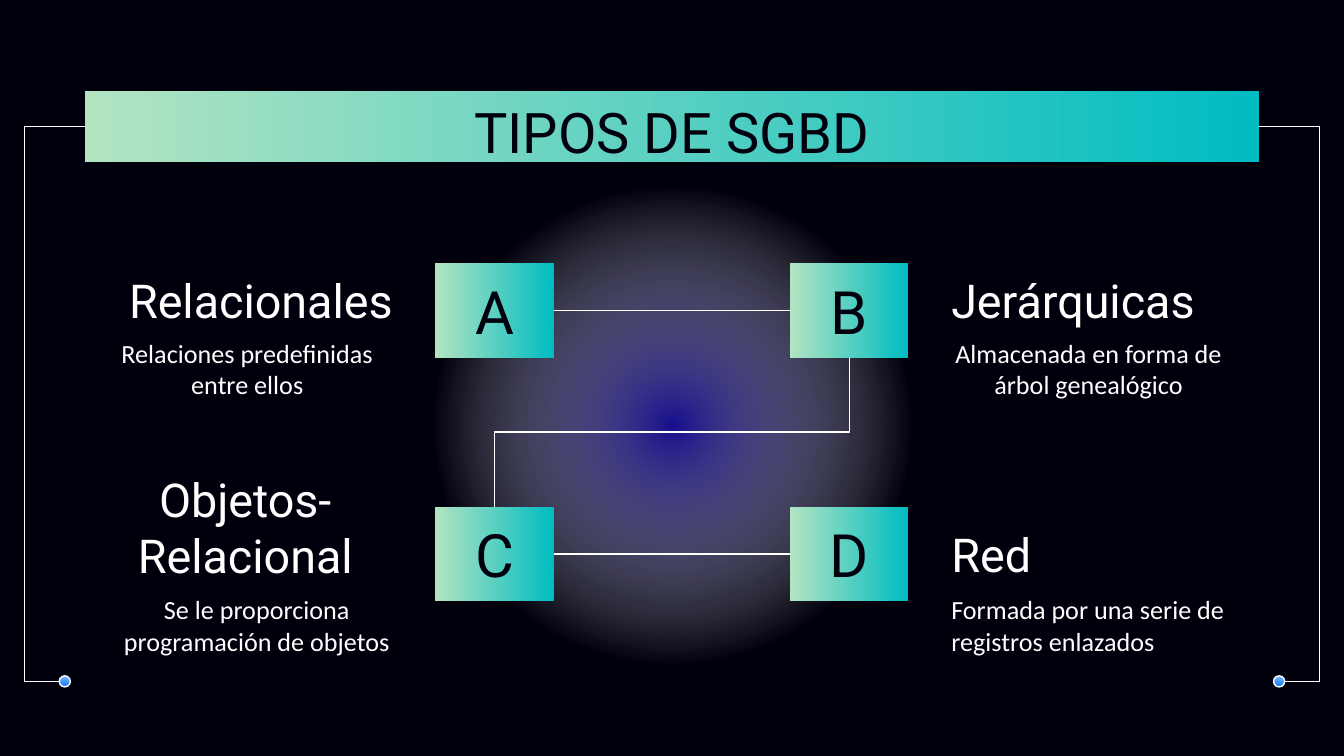
from dataclasses import dataclass

from lxml.etree import SubElement
from pptx import Presentation
from pptx.dml.color import RGBColor
from pptx.enum.shapes import MSO_CONNECTOR, MSO_SHAPE
from pptx.enum.text import MSO_ANCHOR, PP_ALIGN
from pptx.oxml.ns import qn
from pptx.util import Cm, Pt


@dataclass(frozen=True)
class Theme:
    night: str = "00000D"
    white: str = "FFFFFF"
    glow: str = "170F8D"
    tile: tuple = ("00BCC2", "B2E4C2")
    dot: tuple = ("82BCFE", "0C77F1")
    display_font: str = "Roboto"
    body_font: str = "Calibri"
    title_size: int = 30
    letter_size: int = 32
    heading_size: int = 25
    body_size: int = 14
    line_width: float = 0.75


@dataclass(frozen=True)
class Box:
    """A region in centimetres."""
    x: float
    y: float
    w: float
    h: float

    @property
    def right(self):
        return self.x + self.w

    @property
    def bottom(self):
        return self.y + self.h

    @property
    def mid_x(self):
        return self.x + self.w / 2

    @property
    def mid_y(self):
        return self.y + self.h / 2

    def lengths(self):
        return Cm(self.x), Cm(self.y), Cm(self.w), Cm(self.h)


THEME = Theme()


# Shared parts
def add_plain_shape(slide, kind, box):
    shape = slide.shapes.add_shape(kind, *box.lengths())
    shape.shadow.inherit = False
    shape.line.fill.background()
    return shape


def fill_gradient(shape, colors, angle):
    shape.fill.gradient()
    shape.fill.gradient_angle = angle
    for stop, color in zip(shape.fill.gradient_stops, colors):
        stop.color.rgb = RGBColor.from_string(color)


def write(shape, text, font, size, color, align, anchor):
    frame = shape.text_frame
    frame.word_wrap = True
    frame.vertical_anchor = anchor
    frame.margin_left = frame.margin_right = Cm(0.25)
    frame.margin_top = frame.margin_bottom = Cm(0.25)
    frame.text = text
    paragraph = frame.paragraphs[0]
    paragraph.alignment = align
    run_font = paragraph.runs[0].font
    run_font.name, run_font.size = font, Pt(size)
    run_font.color.rgb = RGBColor.from_string(color)


def add_line(slide, kind, start, end):
    line = slide.shapes.add_connector(kind, *map(Cm, start + end))
    line.line.width = Pt(THEME.line_width)
    line.line.color.rgb = RGBColor.from_string(THEME.white)
    SubElement(line._element.spPr, qn("a:effectLst"))
    return line


# Regions
def add_glow(slide, box):
    glow = add_plain_shape(slide, MSO_SHAPE.OVAL, box)
    fill_gradient(glow, (THEME.glow, THEME.white), 0)
    gradient = glow._element.spPr.find(qn("a:gradFill"))
    gradient.remove(gradient.find(qn("a:lin")))
    stops = gradient.find(qn("a:gsLst"))
    stops.remove(stops[1])
    for position in (61000, 100000):
        stop = SubElement(stops, qn("a:gs"), pos=str(position))
        white = SubElement(stop, qn("a:srgbClr"), val=THEME.white)
        SubElement(white, qn("a:alpha"), val="0")
    circle = SubElement(gradient, qn("a:path"), path="circle")
    centre = dict.fromkeys(("l", "t", "r", "b"), "50000")
    SubElement(circle, qn("a:fillToRect"), **centre)


def add_title(slide, box):
    bar = add_plain_shape(slide, MSO_SHAPE.RECTANGLE, box)
    fill_gradient(bar, THEME.tile, 180)
    title_box = Box(box.x + 0.4, box.y - 0.13, box.w - 0.8, 1.6)
    title = slide.shapes.add_textbox(*title_box.lengths())
    write(title, "TIPOS DE SGBD", THEME.display_font, THEME.title_size,
          THEME.night, PP_ALIGN.CENTER, MSO_ANCHOR.TOP)


def add_letter_grid(slide, box, letters="ABCD"):
    tile_w, tile_h = 2.24, 1.78
    tiles = [Box(x, y, tile_w, tile_h)
             for y in (box.y, box.bottom - tile_h)
             for x in (box.x, box.right - tile_w)]
    for letter, place in zip(letters, tiles):
        tile = add_plain_shape(slide, MSO_SHAPE.RECTANGLE, place)
        fill_gradient(tile, THEME.tile, 180)
        write(tile, letter, THEME.display_font, THEME.letter_size,
              THEME.night, PP_ALIGN.CENTER, MSO_ANCHOR.MIDDLE)

    # Straight links within each row
    for left, right in (tiles[:2], tiles[2:]):
        add_line(slide, MSO_CONNECTOR.STRAIGHT,
                 (left.right, left.mid_y), (right.x, right.mid_y))

    # Elbow from B down to C: a horizontal elbow turned a quarter
    upper, lower = tiles[1], tiles[2]
    half_drop = (lower.y - upper.bottom) / 2
    half_span = (upper.mid_x - lower.mid_x) / 2
    elbow = add_line(slide, MSO_CONNECTOR.ELBOW,
                     (box.mid_x - half_drop, box.mid_y - half_span),
                     (box.mid_x + half_drop, box.mid_y + half_span))
    elbow._element.spPr.find(qn("a:xfrm")).set("rot", "5400000")


def add_type_card(slide, box, heading, body, heading_align, body_align, indent=0):
    body_w, body_h, overlap = 5.69, 1.6, 0.2
    heading_box = Box(box.x, box.y, box.w, box.h - body_h + overlap)
    body_box = Box(box.x + indent, box.bottom - body_h, body_w, body_h)
    write(slide.shapes.add_textbox(*heading_box.lengths()), heading,
          THEME.display_font, THEME.heading_size, THEME.white,
          heading_align, MSO_ANCHOR.MIDDLE)
    write(slide.shapes.add_textbox(*body_box.lengths()), body,
          THEME.body_font, THEME.body_size, THEME.white,
          body_align, MSO_ANCHOR.TOP)


def add_side_brackets(slide, box):
    dot_size, reach, drop = 0.21, 0.66, 0.48
    for edge, inward in ((box.x, 1), (box.right, -1)):
        dot_x = edge + inward * reach
        bar_x = dot_x + inward * drop
        bracket = add_line(slide, MSO_CONNECTOR.ELBOW,
                           (dot_x, box.bottom), (bar_x, box.y))
        guides = bracket._element.spPr.find(qn("a:prstGeom")).find(qn("a:avLst"))
        bend = round(-reach / drop * 100000)
        SubElement(guides, qn("a:gd"), name="adj1", fmla=f"val {bend}")

        centre_x = dot_x + inward * dot_size / 2
        dot = add_plain_shape(slide, MSO_SHAPE.OVAL,
                              Box(centre_x - dot_size / 2,
                                  box.bottom - dot_size / 2, dot_size, dot_size))
        fill_gradient(dot, THEME.dot, 270)
        dot.line.color.rgb = RGBColor.from_string(THEME.white)
        dot.line.width = Pt(THEME.line_width)


def main():
    deck = Presentation()
    deck.slide_width, deck.slide_height = Cm(25.4), Cm(14.29)
    slide = deck.slides.add_slide(deck.slide_layouts[6])
    slide.background.fill.solid()
    slide.background.fill.fore_color.rgb = RGBColor.from_string(THEME.night)

    add_glow(slide, Box(7.2, 3.1, 11, 9.88))
    add_title(slide, Box(1.6, 1.73, 22.2, 1.34))
    add_letter_grid(slide, Box(8.23, 4.98, 8.94, 6.38))

    left, center, right = PP_ALIGN.LEFT, PP_ALIGN.CENTER, PP_ALIGN.RIGHT
    add_type_card(slide, Box(1.6, 5.03, 6.07, 2.69), "Relacionales",
                  "Relaciones predefinidas entre ellos", right, center, 0.23)
    add_type_card(slide, Box(17.73, 5.03, 5.87, 2.69), "Jerárquicas",
                  "Almacenada en forma de árbol genealógico", left, center)
    add_type_card(slide, Box(1.6, 8.75, 6.07, 3.82), "Objetos-Relacional",
                  "Se le proporciona programación de objetos", center, center, 0.41)
    add_type_card(slide, Box(17.73, 9.78, 5.69, 2.79), "Red",
                  "Formada por una serie de registros enlazados", left, left)

    add_side_brackets(slide, Box(0.46, 2.39, 24.48, 10.49))
    deck.save("out.pptx")


if __name__ == "__main__":
    main()
